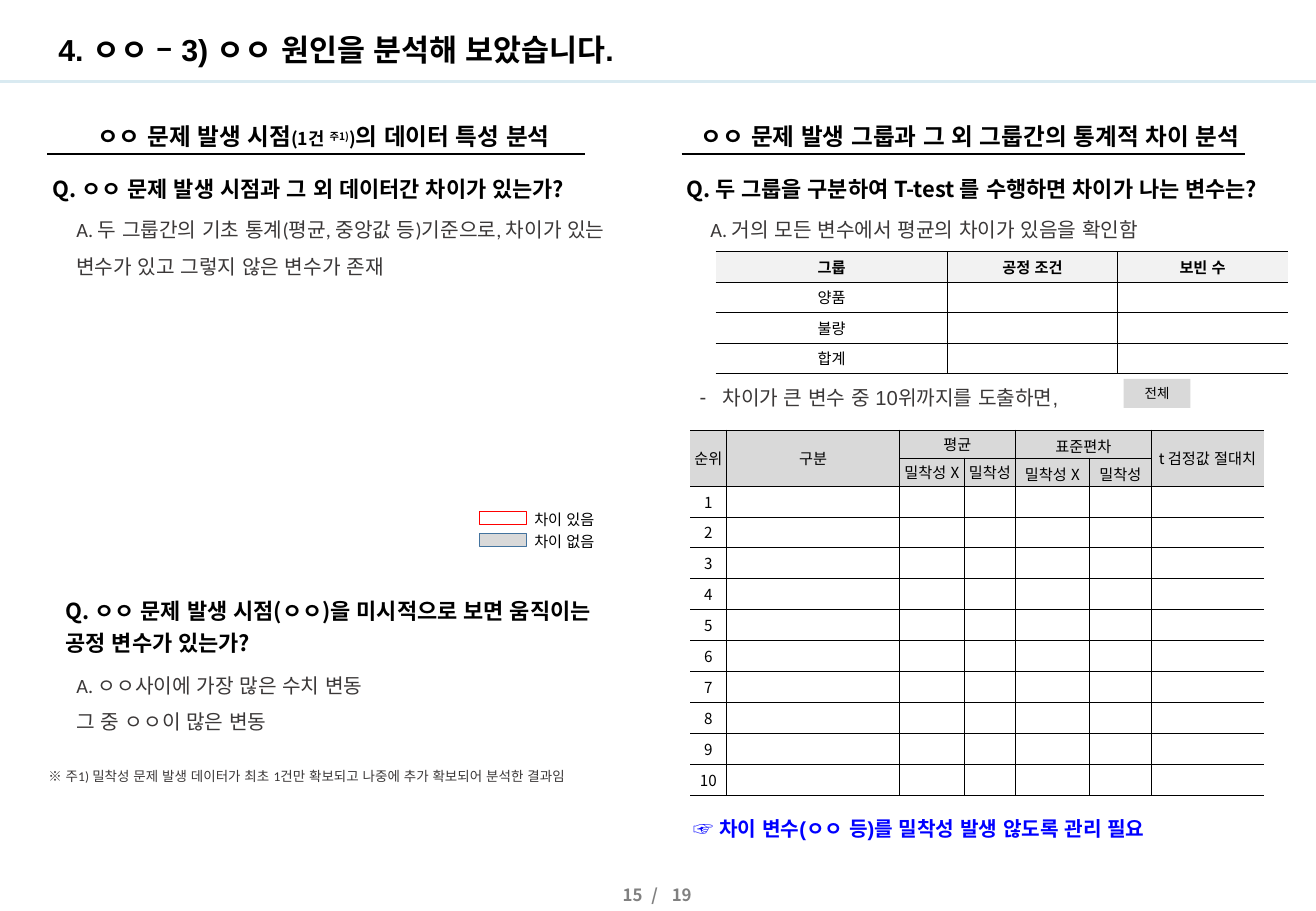
"""Build the slide on the causes of a process fault."""
from dataclasses import dataclass
from itertools import cycle
from typing import NamedTuple

from lxml import etree
from pptx import Presentation
from pptx.dml.color import RGBColor
from pptx.enum.lang import MSO_LANGUAGE_ID
from pptx.enum.shapes import MSO_CONNECTOR, MSO_SHAPE
from pptx.enum.text import MSO_ANCHOR, MSO_AUTO_SIZE, PP_ALIGN
from pptx.oxml.ns import qn
from pptx.util import Pt

LEFT, CENTER = PP_ALIGN.LEFT, PP_ALIGN.CENTER
TOP, MIDDLE = MSO_ANCHOR.TOP, MSO_ANCHOR.MIDDLE
KOREAN = MSO_LANGUAGE_ID.KOREAN
RECT, STRAIGHT = MSO_SHAPE.RECTANGLE, MSO_CONNECTOR.STRAIGHT
NO_FIT = MSO_AUTO_SIZE.NONE
NOTO, ARIAL, CALIBRI = "Noto Sans CJK KR", "Arial", "Calibri"
COLORS = {"black": "000000", "dark": "3B3838", "gray": "808080", "blue": "0000FF",
          "sky": "D9EAF1", "steel": "43739E", "red": "FF0000", "white": "FFFFFF",
          "shade": "D9D9D9", "pale": "F2F2F2"}

Box = tuple[float, float, float, float]


class Piece(NamedTuple):
    text: str
    size: float
    font: str = NOTO
    color: str = "black"
    bold: bool = False
    extra: tuple[str, str] | None = None


@dataclass
class Note:
    box: Box
    pieces: list[Piece]
    space: float = 1.5
    align: PP_ALIGN = LEFT
    inset: Box = (7.2, 3.6, 7.2, 3.6)
    anchor: MSO_ANCHOR = TOP


@dataclass
class Rule:
    start: float
    end: float
    top: float
    color: str
    width: float


@dataclass
class Tile:
    box: Box
    fill: str
    line: str | None = None


@dataclass
class Grid:
    place: tuple[float, float]
    cols: list[float]
    rows: list[float]
    texts: dict[tuple[int, int], str]
    heads: int
    fill: str
    font: str
    bold: bool
    width: float
    spans: list[tuple[int, int, int, int]]
    lowered: list[tuple[int, int]]


def rgb(name: str) -> RGBColor:
    return RGBColor.from_string(COLORS[name])


def style(run, piece: Piece) -> None:
    font = run.font
    font.size, font.name, font.bold = Pt(piece.size), piece.font, piece.bold
    font.color.rgb = rgb(piece.color)
    font.language_id = KOREAN
    props = run._r.get_or_add_rPr()
    props.find(qn("a:latin")).addnext(etree.Element(qn("a:ea"), typeface=NOTO))
    if piece.extra:
        props.set(*piece.extra)


def write(frame, note: Note) -> None:
    frame.word_wrap, frame.auto_size = True, NO_FIT
    frame.vertical_anchor = note.anchor
    (frame.margin_left, frame.margin_top,
     frame.margin_right, frame.margin_bottom) = map(Pt, note.inset)
    frame.text = note.pieces[0].text
    for piece in note.pieces[1:]:
        frame.paragraphs[-1].add_run().text = piece.text
    for para in frame.paragraphs:
        para.alignment, para.line_spacing = note.align, note.space
        para.space_before = Pt(0)
        for run, piece in zip(para.runs, cycle(note.pieces)):
            style(run, piece)


def fill_holder(holder, note: Note) -> None:
    holder.left, holder.top, holder.width, holder.height = map(Pt, note.box)
    write(holder.text_frame, note)


def add_note(slide, note: Note) -> None:
    write(slide.shapes.add_textbox(*map(Pt, note.box)).text_frame, note)


def add_rule(slide, rule: Rule) -> None:
    line = slide.shapes.add_connector(
        STRAIGHT, Pt(rule.start), Pt(rule.top), Pt(rule.end), Pt(rule.top))
    line.line.color.rgb, line.line.width = rgb(rule.color), Pt(rule.width)
    etree.SubElement(line._element.spPr, qn("a:effectLst"))


def add_tile(slide, tile: Tile):
    shape = slide.shapes.add_shape(RECT, *map(Pt, tile.box))
    shape.shadow.inherit = False
    shape.fill.solid()
    shape.fill.fore_color.rgb = rgb(tile.fill)
    if tile.line:
        shape.line.color.rgb, shape.line.width = rgb(tile.line), Pt(0.5)
    else:
        shape.line.fill.background()
    return shape


def add_edge(cell, side: str, width: float) -> None:
    edge = etree.SubElement(cell._tc.get_or_add_tcPr(), qn(f"a:ln{side}"), w=str(Pt(width)))
    if width:
        solid = etree.SubElement(edge, qn("a:solidFill"))
        etree.SubElement(solid, qn("a:srgbClr"), val=COLORS["black"])
    else:
        etree.SubElement(edge, qn("a:noFill"))


def add_grid(slide, grid: Grid) -> None:
    size = len(grid.rows), len(grid.cols)
    table = slide.shapes.add_table(
        *size, *map(Pt, (*grid.place, sum(grid.cols), sum(grid.rows)))).table
    for col, width in zip(table.columns, grid.cols):
        col.width = Pt(width)
    for row, height in zip(table.rows, grid.rows):
        row.height = Pt(height)
    for r in range(size[0]):
        for c in range(size[1]):
            cell, head = table.cell(r, c), r < grid.heads
            widths = {"L": grid.width if c else 0,
                      "R": grid.width if c < size[1] - 1 else 0,
                      "T": grid.width, "B": grid.width}
            for side, width in widths.items():
                add_edge(cell, side, width)
            cell.fill.solid()
            cell.fill.fore_color.rgb = rgb(grid.fill if head else "white")
            cell.vertical_anchor = MIDDLE
            cell.margin_left = cell.margin_right = cell.margin_bottom = 0
            cell.margin_top = Pt(2.5 if (r, c) in grid.lowered else 0)
            cell.text_frame.text = grid.texts.get((r, c), "")
            para = cell.text_frame.paragraphs[0]
            para.alignment = CENTER
            for run in para.runs:
                style(run, Piece(run.text, 9, grid.font, bold=grid.bold and head))
            if not para.runs:
                etree.SubElement(para._p, qn("a:endParaRPr"), sz="900")
    for top, left, end, right in grid.spans:
        table.cell(top, left).merge(table.cell(end, right))


def head(box: Box, *pieces: Piece) -> Note:
    return Note(box, list(pieces), 1.2, CENTER)


def ask(box: Box, text: str) -> Note:
    return Note(box, [Piece(text, 13, bold=True)], 1.2, inset=(5.76, 2.88, 2.88, 2.88))


def reply(box: Box, text: str, size: float = 12, font: str = CALIBRI) -> Note:
    return Note(box, [Piece(text, size, font, "dark")])


TITLE = Note((27.36, 16.56, 712.8, 28.08),
             [Piece("4. ㅇㅇ – 3) ㅇㅇ 원인을 분석해 보았습니다.", 18, ARIAL, bold=True)],
             0.9, anchor=MIDDLE)
LIST = reply((407.5, 217.4, 341.3, 28.8), "차이가 큰 변수 중 10위까지를 도출하면,", font=ARIAL)
BADGE = Note((666, 224.6, 39.6, 17.3), [Piece("전체", 8, CALIBRI)], 1, CENTER,
             (0, 0, 0, 0), MIDDLE)
NOTES = [
    head((331.9, 518.4, 115.2, 18), Piece("15", 10, color="gray", bold=True),
         Piece(" / ", 10, color="gray", bold=True, extra=("spc", "300")),
         Piece("19", 10, color="gray", bold=True)),
    head((372.2, 65.5, 406, 27.4),
         Piece("ㅇㅇ 문제 발생 그룹과 그 외 그룹간의 통계적 차이 분석", 14, bold=True)),
    head((15.8, 65.5, 352, 27.4), Piece("ㅇㅇ 문제 발생 시점", 14, bold=True),
         Piece("(1건 ", 10.5, bold=True),
         Piece("주1)", 10.5, bold=True, extra=("baseline", "30000")),
         Piece(")", 10.5, bold=True), Piece("의 데이터 특성 분석", 14, bold=True)),
    ask((401, 97.9, 378.7, 24.5), "Q. 두 그룹을 구분하여 T-test 를 수행하면 차이가 나는 변수는?"),
    ask((25.2, 97.9, 361.4, 24.5), "Q. ㅇㅇ 문제 발생 시점과 그 외 데이터간 차이가 있는가?"),
    ask((33.1, 348.5, 325.4, 43.2),
        "Q. ㅇㅇ 문제 발생 시점(ㅇㅇ)을 미시적으로 보면 움직이는 공정 변수가 있는가?"),
    reply((414, 118.1, 347.8, 28.8), "A. 거의 모든 변수에서 평균의 차이가 있음을 확인함"),
    reply((38.2, 118.1, 332, 51.1),
          "A. 두 그룹간의 기초 통계(평균, 중앙값 등)기준으로, 차이가 있는 변수가 있고 그렇지 않은 변수가 존재"),
    reply((38.2, 388.1, 333.4, 48.2), "A. ㅇㅇ사이에 가장 많은 수치 변동\n그 중 ㅇㅇ이 많은 변동"),
    reply((21.6, 447.1, 344.2, 21.6),
          "※ 주1) 밀착성 문제 발생 데이터가 최초 1건만 확보되고 나중에 추가 확보되어 분석한 결과임", 8),
    Note((403.9, 473, 352, 28.8),
         [Piece("☞ ", 12, color="blue", bold=True),
          Piece("차이 변수(ㅇㅇ 등)를 밀착성 발생 않도록 관리 필요", 12, ARIAL, "blue", True)]),
]
RULES = [Rule(0, 780, 48.24, "sky", 2), Rule(404, 738, 91.44, "black", 1),
         Rule(28.1, 347, 91.44, "black", 1)]
KEYS = [("차이 있음", "white", "red"), ("차이 없음", "shade", "steel")]
GROUPS = Grid(
    (424.1, 149), [137.5, 100.8, 100.8], [18.1] * 4,
    {(0, 0): "그룹", (0, 1): "공정 조건", (0, 2): "보빈 수",
     (1, 0): "양품", (2, 0): "불량", (3, 0): "합계"},
    1, "pale", ARIAL, True, 0.25, [], [])
RANKS = Grid(
    (409, 254.9), [21.6, 102.5, 38.5, 30.2, 43.9, 36.7, 66.7], [16.6] * 2 + [18.36] * 10,
    {(0, 0): "순위", (0, 1): "구분", (0, 2): "평균", (0, 4): "표준편차",
     (0, 6): "t 검정값 절대치", (1, 2): "밀착성 X", (1, 3): "밀착성",
     (1, 4): "밀착성 X", (1, 5): "밀착성", **{(n + 1, 0): str(n) for n in range(1, 11)}},
    2, "shade", NOTO, False, 0.5,
    [(0, 0, 1, 0), (0, 1, 1, 1), (0, 2, 0, 3), (0, 4, 0, 5), (0, 6, 1, 6)],
    [(0, 4), (1, 4), (1, 5)])


def main() -> None:
    deck = Presentation()
    deck.slide_width, deck.slide_height = Pt(780), Pt(540)
    slide = deck.slides.add_slide(deck.slide_layouts[1])
    title, body = slide.placeholders
    fill_holder(title, TITLE)
    fill_holder(body, LIST)
    props = body.text_frame.paragraphs[0]._p.get_or_add_pPr()
    props.set("marL", str(Pt(13.5)))
    props.set("indent", str(Pt(-13.5)))
    etree.SubElement(props, qn("a:buChar"), char="-")
    for rule in RULES:
        add_rule(slide, rule)
    for note in NOTES:
        add_note(slide, note)
    for row, (text, fill, line) in enumerate(KEYS):
        drop = 13 * row
        add_tile(slide, Tile((284.4, 303.1 + drop, 27.4, 7.9), fill, line))
        add_note(slide, Note((309.6, 298.8 + drop, 57.6, 18), [Piece(text, 9, CALIBRI)], 1))
    write(add_tile(slide, Tile(BADGE.box, "shade")).text_frame, BADGE)
    for grid in (GROUPS, RANKS):
        add_grid(slide, grid)
    deck.save("out.pptx")


if __name__ == "__main__":
    main()
